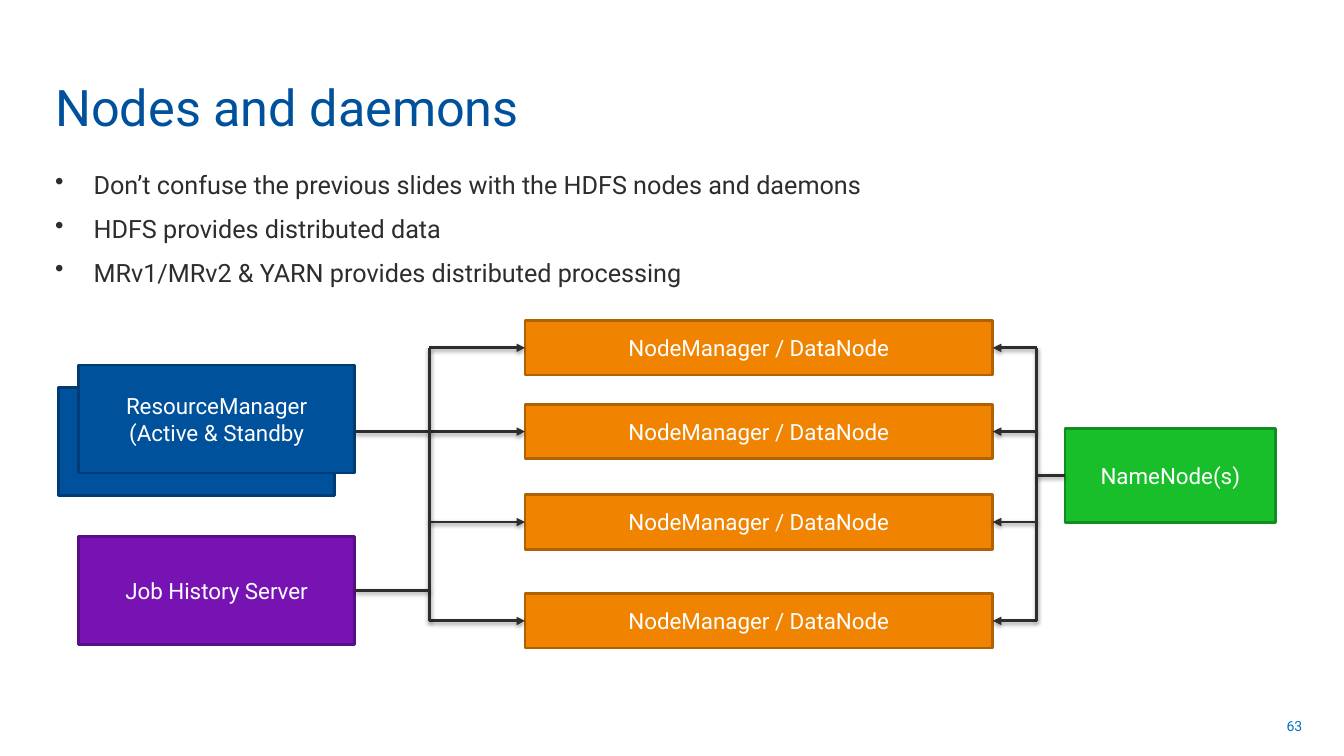
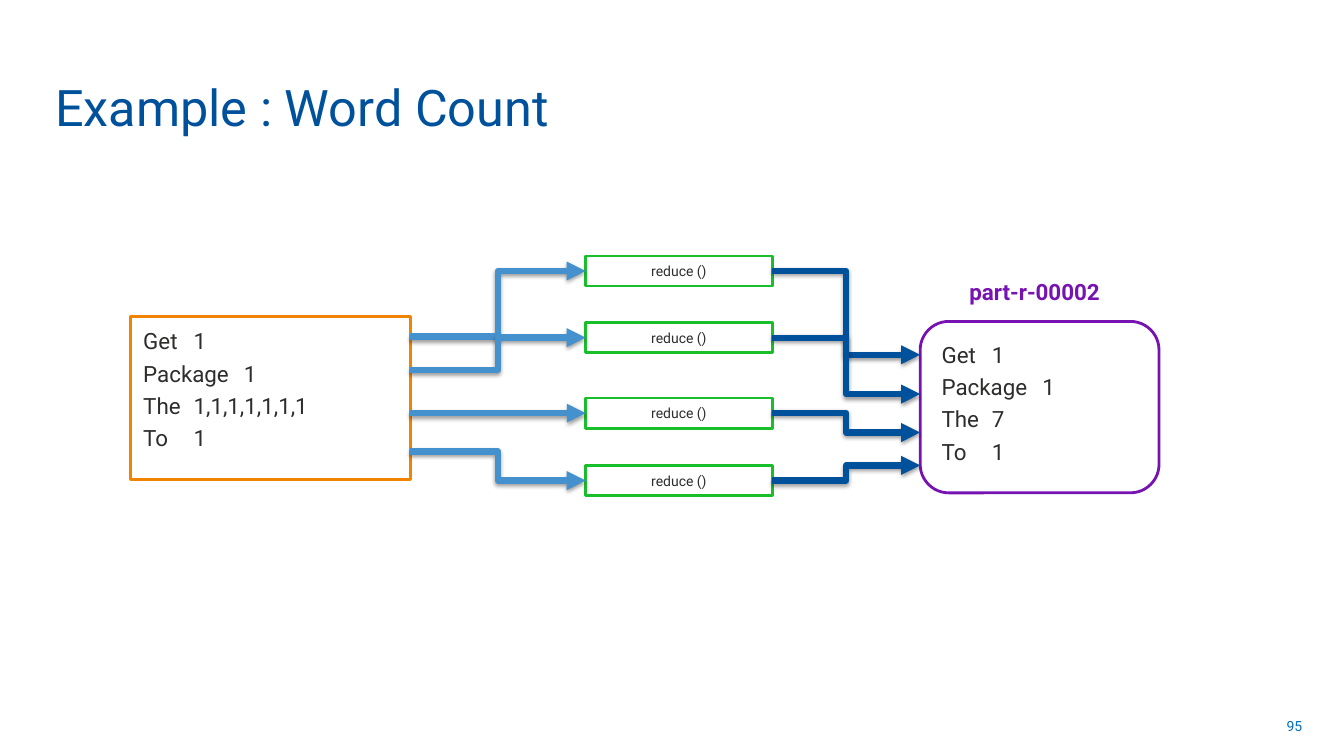
from pptx import Presentation
from pptx.dml.color import RGBColor
from pptx.enum.shapes import MSO_CONNECTOR as CONN, MSO_SHAPE as SHAPE
from pptx.enum.text import MSO_ANCHOR as ANCHOR, MSO_AUTO_SIZE as AUTO, PP_ALIGN as ALIGN
from pptx.oxml import parse_xml
from pptx.oxml.ns import nsdecls
from pptx.util import Cm, Pt

FONT = "Roboto"
BLUE, NAVY, SKY, LINK = "00519C", "003C73", "4591CE", "0070C0"
ORANGE, BROWN = "F08300", "B26100"
PURPLE, PLUM = "7713B2", "580E84"
GREEN, FOREST = "18BF2B", "128D20"
INK, WHITE = "2E2D2C", "FFFFFF"
TOP, LEFT, BOTTOM, RIGHT = range(4)


def rgb(color):
    """Turn a hex string into a colour."""
    return RGBColor.from_string(color)


def write(tf, text, size, color, align=ALIGN.LEFT, anchor=ANCHOR.MIDDLE, bold=False, spacing=None):
    """Fill a text frame and format all its runs alike."""
    tf.text = text
    tf.word_wrap = True
    tf.auto_size = AUTO.NONE
    tf.vertical_anchor = anchor
    for p in tf.paragraphs:
        p.alignment = align
        p.line_spacing = spacing
        for r in p.runs:
            r.font.name = FONT
            r.font.size = Pt(size)
            r.font.bold = bold
            r.font.color.rgb = rgb(color)


def set_insets(tf):
    """Give a diagram text its inner margins."""
    tf.margin_left = tf.margin_right = Cm(0.33)
    tf.margin_top = tf.margin_bottom = Cm(0.15)


def add_text(s, x, y, w, h, text, size, color, **style):
    """Add a text box and return its text frame."""
    tf = s.shapes.add_textbox(Cm(x), Cm(y), Cm(w), Cm(h)).text_frame
    write(tf, text, size, color, **style)
    return tf


def add_box(s, x, y, w, h, fill, line, text="", size=16, color=WHITE, kind=SHAPE.RECTANGLE, **style):
    """Add an outlined box with optional text."""
    sp = s.shapes.add_shape(kind, Cm(x), Cm(y), Cm(w), Cm(h))
    sp.shadow.inherit = False
    sp.fill.solid()
    sp.fill.fore_color.rgb = rgb(fill)
    sp.line.color.rgb = rgb(line)
    sp.line.width = Pt(2)
    set_insets(sp.text_frame)
    if text:
        write(sp.text_frame, text, size, color, **style)
    return sp


def add_link(s, start, end, color=INK, width=2, kind=CONN.STRAIGHT, arrow=True, begin_at=None, end_at=None):
    """Add a shadowed connector, joined to (shape, side) pairs if given."""
    c = s.shapes.add_connector(kind, *map(Cm, start + end))
    c.line.color.rgb = rgb(color)
    c.line.width = Pt(width)
    if begin_at:
        c.begin_connect(*begin_at)
    if end_at:
        c.end_connect(*end_at)
    if arrow:
        c.line._get_or_add_ln().append(parse_xml(f'<a:tailEnd {nsdecls("a")} type="triangle"/>'))
    c._element.spPr.append(parse_xml(
        f'<a:effectLst {nsdecls("a")}><a:outerShdw blurRad="{Pt(3.1)}" dist="{Pt(1.6)}" dir="5400000" '
        'rotWithShape="0"><a:srgbClr val="000000"><a:alpha val="38000"/></a:srgbClr>'
        '</a:outerShdw></a:effectLst>'))
    return c


def add_slide(prs, title, number):
    """Add a slide with the shared title style and page number."""
    s = prs.slides.add_slide(prs.slide_layouts[5])
    sp = s.shapes.title
    sp.left, sp.top, sp.width, sp.height = Cm(1.14), Cm(0.36), Cm(25.35), Cm(3.2)
    write(sp.text_frame, title, 36, BLUE, anchor=ANCHOR.BOTTOM)
    add_text(s, 25.17, 17.78, 7.9, 1.02, number, 10, LINK, align=ALIGN.RIGHT)
    return s


def add_bullets(s, x, y, w, h, items):
    """Add the bulleted list."""
    tf = add_text(s, x, y, w, h, "\n".join(items), 18, INK, anchor=ANCHOR.TOP, spacing=0.8)
    for i, p in enumerate(tf.paragraphs):
        pPr = p._p.get_or_add_pPr()
        pPr.set("marL", str(Cm(0.97)))
        pPr.set("indent", str(-Cm(0.97)))
        pPr.append(parse_xml(f'<a:buClr {nsdecls("a")}><a:srgbClr val="{INK}"/></a:buClr>'))
        pPr.append(parse_xml(f'<a:buChar {nsdecls("a")} char="•"/>'))
        p.space_before = Pt(7 if i else 0)
        p.space_after = Pt(7)


def add_cluster(s, x, y):
    """Draw the servers, the worker nodes and the buses between them."""
    server_w, server_h, node_w, node_h = 6.96, 2.72, 11.79, 1.37
    front_x, node_x, name_x = x + 0.51, x + 11.76, x + 25.37
    left_bus, right_bus = x + 9.35, x + 24.66
    server_right = front_x + server_w
    centre = {"align": ALIGN.CENTER}

    add_box(s, x, y + 1.68, server_w, server_h, BLUE, NAVY)
    add_box(s, front_x, y + 1.12, server_w, server_h, BLUE, NAVY, "ResourceManager (Active & Standby", **centre)
    history = add_box(s, front_x, y + 5.44, server_w, server_h, PURPLE, PLUM, "Job History Server", **centre)
    name = add_box(s, name_x, y + 2.72, 5.31, 2.36, GREEN, FOREST, "NameNode(s)", **centre)

    tops = [y + dy for dy in (0, 2.11, 4.39, 6.88)]
    mids = [top + node_h / 2 for top in tops]
    for i, (top, mid) in enumerate(zip(tops, mids)):
        node = add_box(s, node_x, top, node_w, node_h, ORANGE, BROWN, "NodeManager / DataNode", **centre)
        start_x = server_right if i == 1 else left_bus
        add_link(s, (start_x, mid), (node_x, mid), end_at=(node, LEFT))
        add_link(s, (right_bus, mid), (node_x + node_w, mid), end_at=(node, RIGHT))
    for bus in (left_bus, right_bus):
        add_link(s, (bus, mids[-1]), (bus, mids[0]), arrow=False)
    history_y, name_y = y + 5.44 + server_h / 2, y + 3.9
    add_link(s, (server_right, history_y), (left_bus, history_y), arrow=False, begin_at=(history, RIGHT))
    add_link(s, (name_x, name_y), (right_bus, name_y), arrow=False, begin_at=(name, LEFT))


def add_word_count(s, x, y):
    """Draw the grouped words, the reducers and the result file."""
    words_w, reduce_x, reduce_w, reduce_h, result_x = 7.06, x + 11.48, 4.7, 0.76, x + 19.91
    listing = {"color": INK, "anchor": ANCHOR.TOP, "spacing": 1.2}
    add_box(s, x, y + 1.52, words_w, 4.11, WHITE, ORANGE,
            "Get\t1\nPackage\t1\nThe\t1,1,1,1,1,1,1\nTo\t1", **listing)
    add_box(s, result_x, y + 1.65, 6.02, 4.32, WHITE, PURPLE,
            "Get\t1\nPackage\t1\nThe\t7\nTo\t1", kind=SHAPE.ROUNDED_RECTANGLE, **listing)
    set_insets(add_text(s, result_x, y + 0.38, 5.77, 1.02, "part-r-00002", 16, PURPLE,
                        align=ALIGN.CENTER, bold=True))

    rows = [(0, 2.03, 2.49), (1.68, 2.87, 3.48), (3.58, 3.96, 4.45), (5.28, 4.93, 5.28)]
    for top, word_y, result_y in rows:
        mid = top + reduce_h / 2
        box = add_box(s, reduce_x, y + top, reduce_w, reduce_h, WHITE, GREEN, "reduce ()", 10, INK,
                      align=ALIGN.CENTER)
        level = word_y == mid
        add_link(s, (x + words_w, y + word_y), (reduce_x, y + mid), SKY, 4.5,
                 CONN.STRAIGHT if level else CONN.ELBOW, end_at=(box, LEFT) if level else None)
        add_link(s, (reduce_x + reduce_w, y + mid), (result_x, y + result_y), BLUE, 4.5, CONN.ELBOW)


def main():
    """Build and save the presentation."""
    prs = Presentation()
    prs.slide_width, prs.slide_height = Cm(33.87), Cm(19.05)

    s = add_slide(prs, "Nodes and daemons", "63")
    add_cluster(s, 1.47, 8.08)
    add_bullets(s, 1.14, 4.29, 31.67, 2.77, [
        "Don’t confuse the previous slides with the HDFS nodes and daemons",
        "HDFS provides distributed data",
        "MRv1/MRv2 & YARN provides distributed processing",
    ])

    s = add_slide(prs, "Example : Word Count", "95")
    add_word_count(s, 3.28, 6.45)

    prs.save("out.pptx")


if __name__ == "__main__":
    main()
